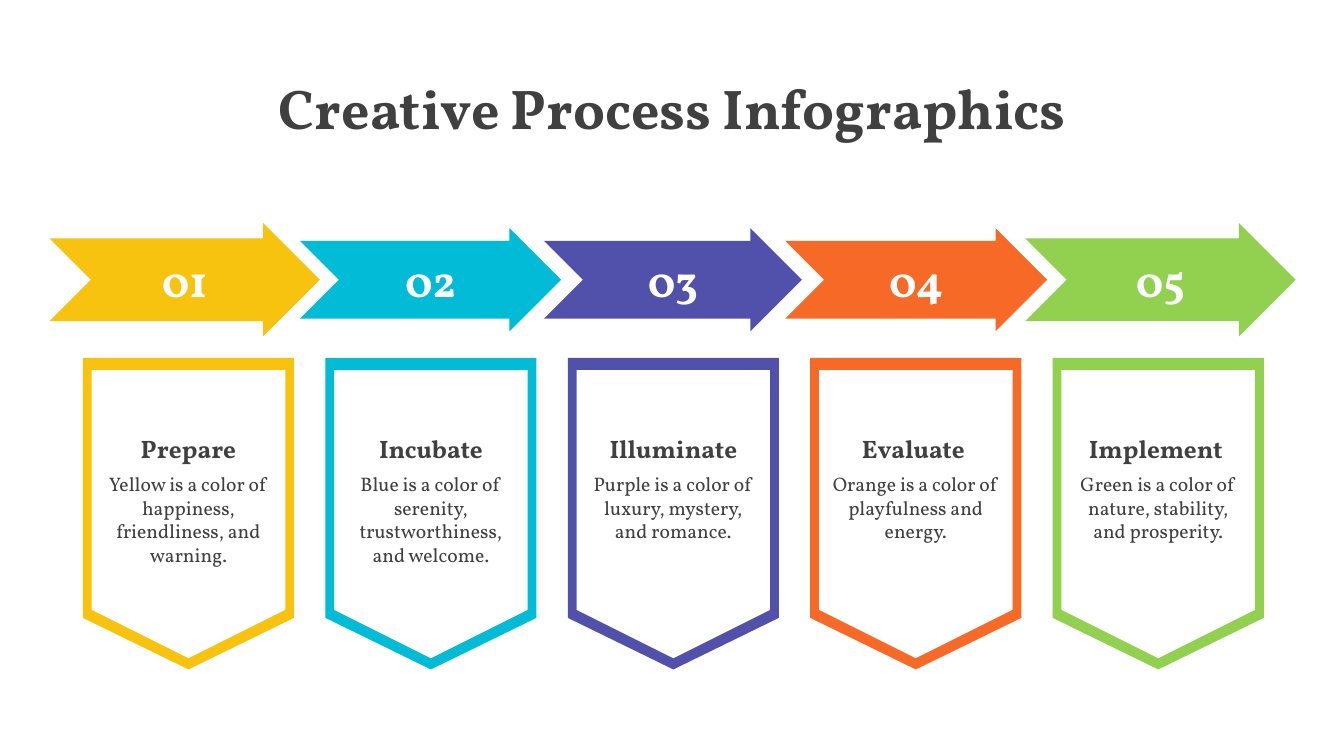
"""Build the Creative Process Infographics slide: five arrows above five banners."""
from pptx import Presentation
from pptx import util as u
from pptx.dml.color import RGBColor
from pptx.enum import text


class Theme:
    font = "Vollkorn"
    ink = "404040"
    paper = "FFFFFF"
    steps = ["F7C30F", "02BBD6", "5151AB", "F76927", "92D050"]
    title, number, heading, body = 40, 32, 18, 14


def write(paragraph, words, size, color, bold=True):
    paragraph.text = words
    paragraph.alignment = text.PP_ALIGN.CENTER
    paragraph.font.name = Theme.font
    paragraph.font.size = u.Pt(size)
    paragraph.font.bold = bold
    paragraph.font.color.rgb = RGBColor.from_string(color)


def draw(contours, color):
    points = [[(u.Cm(x), u.Cm(y)) for x, y in contour] for contour in contours]
    builder = slide.shapes.build_freeform(*points[0][0])
    builder.add_line_segments(points[0][1:], close=True)
    for contour in points[1:]:
        builder.move_to(*contour[0])
        builder.add_line_segments(contour[1:], close=True)
    outline = builder.convert_to_shape()
    outline.shadow.inherit = False
    outline.fill.solid()
    outline.fill.fore_color.rgb = RGBColor.from_string(color)
    outline.line.fill.background()
    return outline


deck = Presentation()
deck.slide_width, deck.slide_height = u.Cm(33.87), u.Cm(19.05)
slide = deck.slides.add_slide(deck.slide_layouts[5])

title = slide.shapes.title
title.left, title.top, title.width, title.height = u.Cm(0), u.Cm(1.73), deck.slide_width, u.Cm(1.96)
title.text_frame.auto_size = text.MSO_AUTO_SIZE.SHAPE_TO_FIT_TEXT
write(title.text_frame.paragraphs[0], "Creative Process Infographics", Theme.title, Theme.ink)

arrow_middle = 7.05
large, small = (1.43, 1.04), (1.3, 0.98)
arrows = [(1.25, 6.81, large), (7.56, 6.58, small), (13.71, 6.5, small),
          (19.79, 6.6, small), (25.84, 6.81, large)]

for step, (left, width, (head, shaft)) in enumerate(arrows):
    neck, right = left + width - head, left + width
    arrow = draw([[(neck, arrow_middle - head), (neck, arrow_middle - shaft),
                   (left, arrow_middle - shaft), (left + shaft, arrow_middle),
                   (left, arrow_middle + shaft), (neck, arrow_middle + shaft),
                   (neck, arrow_middle + head), (right, arrow_middle)]], Theme.steps[step])
    arrow.text_frame.vertical_anchor = text.MSO_ANCHOR.MIDDLE
    write(arrow.text_frame.paragraphs[0], f"{step + 1:02}", Theme.number, Theme.paper)

stages = [
    ("Prepare", "Yellow is a color of happiness, friendliness, and warning.", 4),
    ("Incubate", "Blue is a color of serenity, trustworthiness, and welcome.", 4),
    ("Illuminate", "Purple is a color of luxury, mystery, and romance.", 3),
    ("Evaluate ", "Orange is a color of playfulness and energy.", 3),
    ("Implement ", "Green is a color of nature, stability, and prosperity.", 3),
]
first_center, pitch = 4.75, 6.11
outer_edge = (2.66, 9.02, 15.57, 16.87)
inner_edge = (2.44, 9.32, 15.37, 16.59)
caption_width = 4.83

for step, (heading, description, lines) in enumerate(stages):
    center = first_center + step * pitch
    draw([[(center - half, top), (center - half, shoulder), (center, tip),
           (center + half, shoulder), (center + half, top)]
          for half, top, shoulder, tip in (outer_edge, inner_edge)], Theme.steps[step])
    caption = slide.shapes.add_textbox(u.Cm(center - caption_width / 2), u.Cm(10.8),
                                       u.Cm(caption_width), u.Cm(1.23 + 0.6 * lines)).text_frame
    caption.word_wrap = True
    caption.auto_size = text.MSO_AUTO_SIZE.SHAPE_TO_FIT_TEXT
    write(caption.paragraphs[0], heading, Theme.heading, Theme.ink)
    detail = caption.add_paragraph()
    detail.space_before = u.Pt(6)
    write(detail, description, Theme.body, Theme.ink, bold=False)

deck.save("out.pptx")
